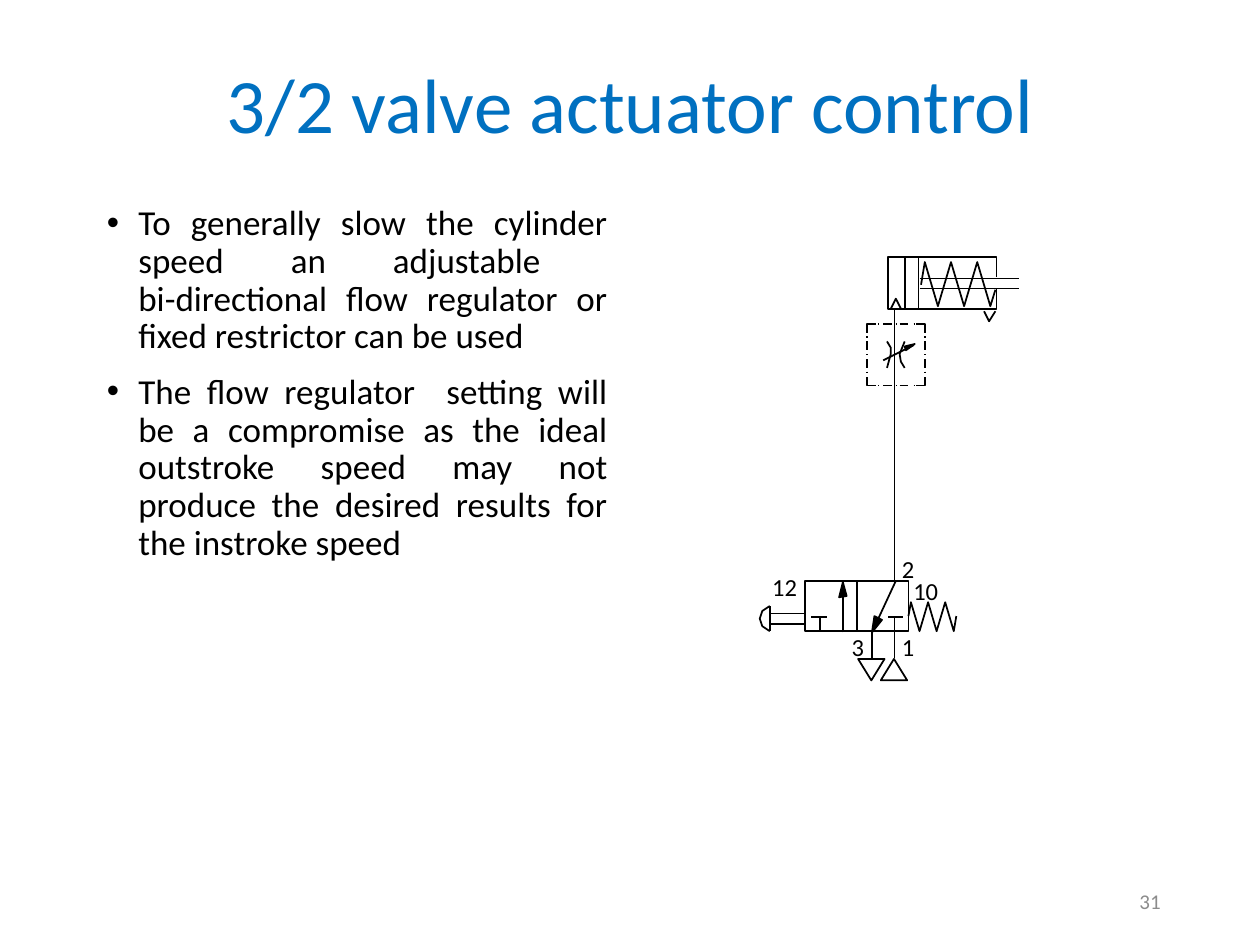
from lxml import etree
from pptx import Presentation
from pptx.dml.color import RGBColor
from pptx.enum.shapes import MSO_CONNECTOR as Connector, MSO_SHAPE as Preset
from pptx.enum.text import MSO_ANCHOR as Anchor, PP_ALIGN as Align
from pptx.oxml.ns import qn
from pptx.util import Inches, Pt

BLACK = "000000"


def color(value):
    return RGBColor.from_string(value)


def add_text(page, box, paragraphs, size=14, ink=BLACK, align=Align.LEFT, anchor=Anchor.TOP,
             spacing=1.0, space_before=0, bullet=None, wrap=True):
    shape = page.shapes.add_textbox(*[Inches(value) for value in box])
    frame = shape.text_frame
    frame.word_wrap = wrap
    frame.vertical_anchor = anchor
    for index, text in enumerate(paragraphs):
        para = frame.add_paragraph() if index else frame.paragraphs[0]
        para.text = text
        para.alignment = align
        para.line_spacing = spacing
        para.space_before = Pt(space_before if index else 0)
        if bullet:
            props = para._p.get_or_add_pPr()
            props.set("marL", str(Inches(0.25)))
            props.set("indent", str(Inches(-0.25)))
            etree.SubElement(props, qn("a:buFont")).set("typeface", "Arial")
            etree.SubElement(props, qn("a:buChar")).set("char", bullet)
        for span in para.runs:
            span.font.name = "Calibri"
            span.font.size = Pt(size)
            span.font.color.rgb = color(ink)
    return shape


class Pen:
    """Draws black symbols with coordinates relative to a region's corner."""

    def __init__(self, page, left, top):
        self.page, self.left, self.top = page, left, top

    def place(self, x, y):
        return Inches(self.left + x), Inches(self.top + y)

    def style(self, shape, filled=False):
        shape.shadow.inherit = False
        if filled:
            shape.fill.solid()
            shape.fill.fore_color.rgb = color(BLACK)
        else:
            shape.fill.background()
        shape.line.color.rgb = color(BLACK)
        shape.line.width = Pt(1)
        return shape

    def line(self, x1, y1, x2, y2):
        link = self.page.shapes.add_connector(
            Connector.STRAIGHT, *self.place(x1, y1), *self.place(x2, y2))
        link.line.color.rgb = color(BLACK)
        link.line.width = Pt(1)
        etree.SubElement(link._element.spPr, qn("a:effectLst"))
        return link

    def outline(self, points, filled=False):
        start, *rest = [self.place(x, y) for x, y in points]
        builder = self.page.shapes.build_freeform(*start)
        builder.add_line_segments(rest, close=filled)
        return self.style(builder.convert_to_shape(), filled)

    def shape(self, preset, x, y, width, height):
        return self.style(self.page.shapes.add_shape(
            preset, *self.place(x, y), Inches(width), Inches(height)))

    def label(self, text, x, y, width):
        add_text(self.page, (self.left + x, self.top + y, width, 0.33), [text], wrap=False)


def draw_cylinder(page, left, top):
    pen = Pen(page, left, top)
    # Piston rod and piston
    for y in (0.17, 0.25):
        pen.line(0.25, y, 1.04, y)
    for x in (0.13, 0.24):
        pen.line(x, 0, x, 0.42)
    # Barrel, return spring and ports
    pen.outline([(0.86, 0.16), (0.86, 0), (0, 0), (0, 0.41), (0.86, 0.41), (0.86, 0.25)])
    coils = [(0.81 - 0.104 * i, 0.04 if i % 2 else 0.39) for i in range(6)]
    pen.outline([(0.85, 0.26), *coils, (0.29, 0.04), (0.26, 0.22)])
    pen.outline([(0.02, 0.41), (0.06, 0.33), (0.1, 0.41)])
    pen.outline([(0.76, 0.43), (0.8, 0.51), (0.85, 0.43)])


def draw_flow_regulator(page, left, top, width=0.46, height=0.49):
    pen = Pen(page, left, top)
    # Dash-dot enclosure
    for x, inward in ((0, 1), (width, -1)):
        for y, down in ((0, 1), (height, -1)):
            pen.outline([(x + 0.07 * inward, y), (x, y), (x, y + 0.07 * down)])
        for dot in (0.1, 0.24, 0.38):
            pen.line(x, dot, x, dot + 0.01)
        for dash in (0.14, 0.28):
            pen.line(x, dash, x, dash + 0.07)
    for y in (0, height):
        for dot in (0.09, 0.23, 0.37):
            pen.line(dot, y, dot + 0.01, y)
        for dash in (0.13, 0.26):
            pen.line(dash, y, dash + 0.07, y)
    # Restriction and adjustment arrow
    pen.outline([(0.3, 0.14), (0.26, 0.24), (0.27, 0.3), (0.3, 0.35)])
    pen.outline([(0.16, 0.35), (0.19, 0.24), (0.19, 0.19), (0.16, 0.14)])
    pen.line(0.13, 0.29, 0.37, 0.17)
    pen.outline([(0.38, 0.16), (0.3, 0.18), (0.31, 0.21)], filled=True)


def draw_valve(page, left, top):
    pen = Pen(page, left, top)
    # Two-position body
    body = pen.shape(Preset.RECTANGLE, 0.36, 0.26, 0.82, 0.4)
    divider = pen.line(0.77, 0.26, 0.77, 0.66)
    divider.begin_connect(body, 0)
    divider.end_connect(body, 2)
    # Blocked ports
    for x, stem in ((0.41, 0.48), (1.02, 1.07)):
        pen.line(x, 0.55, x + 0.12, 0.55)
        pen.line(stem, 0.55, stem, 0.67)
    # Flow arrows
    pen.line(0.66, 0.67, 0.66, 0.26)
    pen.outline([(0.66, 0.27), (0.63, 0.39), (0.69, 0.38)], filled=True)
    pen.line(1.08, 0.26, 0.89, 0.67)
    pen.outline([(0.89, 0.67), (0.91, 0.54), (0.97, 0.57)], filled=True)
    # Exhaust and supply
    for x in (0.89, 1.07):
        pen.line(x, 0.66, x, 0.87)
    pen.shape(Preset.ISOSCELES_TRIANGLE, 0.96, 0.88, 0.21, 0.17)
    exhaust = pen.shape(Preset.ISOSCELES_TRIANGLE, 0.78, 0.88, 0.21, 0.17)
    exhaust.rotation = 180
    # Return spring
    coils = [(1.54 - 0.068 * i, 0.43 if i % 2 else 0.66) for i in range(6)]
    pen.outline([(1.56, 0.54), *coils, (1.18, 0.54)])
    # Push button
    pen.line(0.08, 0.46, 0.08, 0.66)
    pen.outline([(0.08, 0.46), (0.02, 0.5), (0, 0.56), (0.02, 0.62), (0.08, 0.66)])
    for y in (0.52, 0.6):
        pen.line(0.09, y, 0.35, y)
    # Port labels
    for text, x, y, size in (("1", 1.03, 0.62, 0.31), ("2", 1.03, 0, 0.31),
                             ("3", 0.63, 0.62, 0.31), ("12", 0, 0.14, 0.42),
                             ("10", 1.12, 0.17, 0.42)):
        pen.label(text, x, y, size)


def draw_circuit(page, left, top):
    draw_cylinder(page, left + 1.02, top)
    Pen(page, left, top).line(1.07, 0.42, 1.07, 2.56)
    draw_valve(page, left, top + 2.31)
    draw_flow_regulator(page, left + 0.85, top + 0.53)


def main():
    deck = Presentation()
    deck.slide_width, deck.slide_height = Inches(10), Inches(7.5)
    page = deck.slides.add_slide(deck.slide_layouts[6])
    # Title, explanation and page number
    add_text(page, (1.27, 0.46, 7.47, 0.81), ["3/2 valve actuator control"], size=44,
             ink="0070C0", align=Align.CENTER, anchor=Anchor.MIDDLE, spacing=0.9)
    add_text(page, (0.75, 1.58, 4.17, 4.92), [
        "To generally slow the cylinder speed an adjustable \v"
        "bi-directional flow regulator or fixed restrictor can be used",
        "The flow regulator  setting will be a compromise as the ideal outstroke speed "
        "may not produce the desired results for the instroke speed",
    ], size=20, align=Align.JUSTIFY, spacing=0.9, space_before=10, bullet="•")
    draw_circuit(page, 6.03, 2.04)
    add_text(page, (7.06, 6.95, 2.25, 0.4), ["31"], size=12, ink="8C8C8C",
             align=Align.RIGHT, anchor=Anchor.MIDDLE)
    deck.save("out.pptx")


if __name__ == "__main__":
    main()
